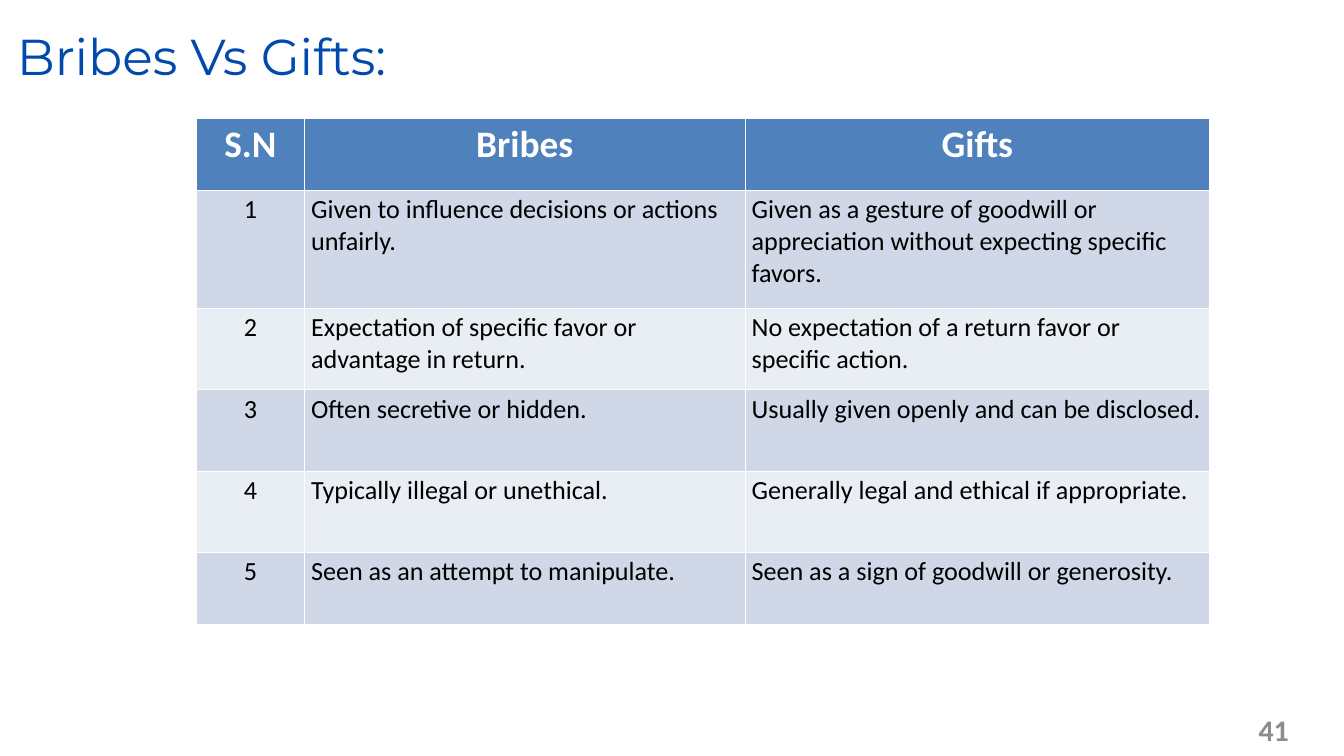
"""Build the slide that compares bribes with gifts in a table."""
from pptx import Presentation
from pptx.dml.color import RGBColor
from pptx.enum.text import MSO_ANCHOR, MSO_AUTO_SIZE, PP_ALIGN
from pptx.util import Pt

BLUE = RGBColor(0x00, 0x4A, 0xAD)
HEAD = RGBColor(0x4F, 0x81, 0xBD)
DARK = RGBColor(0xD0, 0xD8, 0xE8)
LIGHT = RGBColor(0xE9, 0xED, 0xF4)
WHITE = RGBColor(0xFF, 0xFF, 0xFF)
BLACK = RGBColor(0x00, 0x00, 0x00)
GREY = RGBColor(0x8C, 0x8C, 0x8C)

ROWS = [
    ("S.N", "Bribes", "Gifts"),
    ("1", "Given to influence decisions or actions unfairly.",
     "Given as a gesture of goodwill or appreciation without expecting specific favors."),
    ("2", "Expectation of specific favor or advantage in return.",
     "No expectation of a return favor or specific action."),
    ("3", "Often secretive or hidden.", "Usually given openly and can be disclosed."),
    ("4", "Typically illegal or unethical.", "Generally legal and ethical if appropriate."),
    ("5", "Seen as an attempt to manipulate.", "Seen as a sign of goodwill or generosity."),
]
WIDTHS = [115.7, 472, 498.1]
HEIGHTS = [76.7, 126.7, 87.3, 87.3, 87.3, 76.7]


def style(para, name, size, color, bold, align):
    para.font.name = name
    para.font.size = Pt(size)
    para.font.color.rgb = color
    para.font.bold = bold
    para.alignment = align


deck = Presentation()
deck.slide_width, deck.slide_height = Pt(1440), Pt(810)
slide = deck.slides.add_slide(deck.slide_layouts[5])

title = slide.shapes.title
title.left, title.top, title.width, title.height = Pt(18), Pt(2), Pt(1398), Pt(78.5)
frame = title.text_frame
frame.text = "Bribes Vs Gifts:"
frame.margin_left = frame.margin_top = frame.margin_right = frame.margin_bottom = 0
frame.vertical_anchor = MSO_ANCHOR.TOP
frame.auto_size = MSO_AUTO_SIZE.SHAPE_TO_FIT_TEXT
frame.paragraphs[0].line_spacing = Pt(90)
style(frame.paragraphs[0], "Montserrat", 54, BLUE, False, PP_ALIGN.LEFT)

table = slide.shapes.add_table(len(ROWS), len(WIDTHS), Pt(210.5), Pt(127),
                               Pt(sum(WIDTHS)), Pt(sum(HEIGHTS))).table
for col, width in zip(table.columns, WIDTHS):
    col.width = Pt(width)
for r, (texts, height) in enumerate(zip(ROWS, HEIGHTS)):
    table.rows[r].height = Pt(height)
    head = r == 0
    for c, text in enumerate(texts):
        cell = table.cell(r, c)
        cell.text = text
        cell.fill.solid()
        cell.fill.fore_color.rgb = HEAD if head else DARK if r % 2 else LIGHT
        style(cell.text_frame.paragraphs[0], "Calibri", 40 if head else 28,
              WHITE if head else BLACK, head,
              PP_ALIGN.CENTER if head or c == 0 else PP_ALIGN.LEFT)

number = slide.shapes.add_textbox(Pt(1230), Pt(771), Pt(158), Pt(21.6)).text_frame
number.text = "41"
number.word_wrap = True
number.vertical_anchor = MSO_ANCHOR.MIDDLE
style(number.paragraphs[0], "Calibri", 32, GREY, True, PP_ALIGN.RIGHT)

deck.save("out.pptx")
